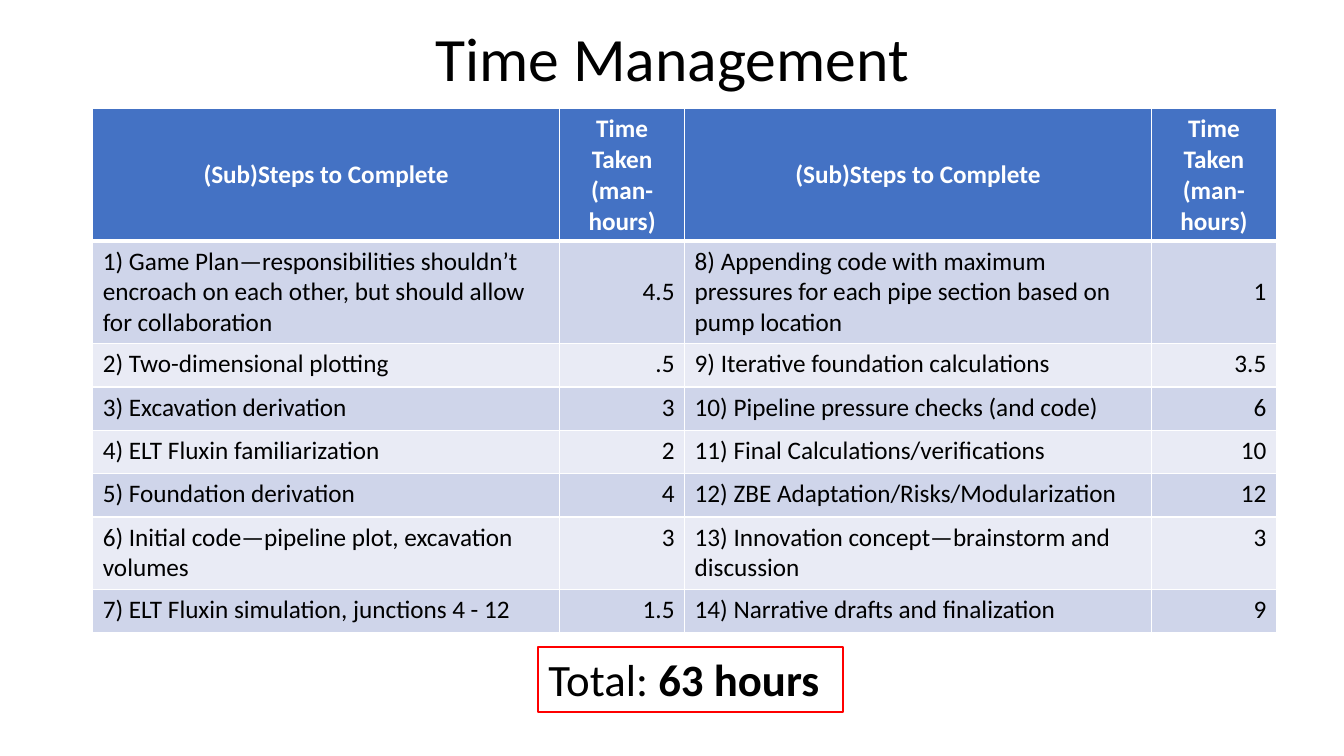
import pptx
import pptx.util
import pptx.dml.color
import pptx.enum.text
import pptx.oxml
import pptx.oxml.ns
from dataclasses import dataclass
from lxml import etree

Inches = pptx.util.Inches
Align = pptx.enum.text.PP_ALIGN
Anchor = pptx.enum.text.MSO_ANCHOR


@dataclass(frozen=True)
class Theme:
    font: str = "Calibri"
    title_size: int = 44
    table_size: int = 18
    total_size: int = 32
    text: str = "000000"
    light: str = "FFFFFF"
    header: str = "4472C4"
    bands: tuple = ("CFD5EA", "E9EBF5")
    accent: str = "FF0000"


theme = Theme()

title = "Time Management"
headings = ("(Sub)Steps to Complete", "Time Taken (man-hours)")
step_groups = [
    [
        ("1) Game Plan—responsibilities shouldn’t encroach on each other, but should allow for collaboration", "4.5"),
        ("2) Two-dimensional plotting", ".5"),
        ("3) Excavation derivation", "3"),
        ("4) ELT Fluxin familiarization", "2"),
        ("5) Foundation derivation", "4"),
        ("6) Initial code—pipeline plot, excavation volumes", "3"),
        ("7) ELT Fluxin simulation, junctions 4 - 12", "1.5"),
    ],
    [
        ("8) Appending code with maximum pressures for each pipe section based on pump location", "1"),
        ("9) Iterative foundation calculations", "3.5"),
        ("10) Pipeline pressure checks (and code)", "6"),
        ("11) Final Calculations/verifications", "10"),
        ("12) ZBE Adaptation/Risks/Modularization", "12"),
        ("13) Innovation concept—brainstorm and discussion", "3"),
        ("14) Narrative drafts and finalization", "9"),
    ],
]
total_runs = [("Total: ", False), ("63 hours", True)]

table_left, table_top = 0.92, 1.08
column_widths = (4.63, 1.24)
row_heights = (1.31, 1.02, 0.43, 0.43, 0.43, 0.43, 0.72, 0.43)


def rgb(color):
    return pptx.dml.color.RGBColor.from_string(color)


def write(frame, runs, size, color, alignment, anchor):
    frame.word_wrap = True
    frame.vertical_anchor = anchor
    paragraph = frame.paragraphs[0]
    paragraph.alignment = alignment
    for text, bold in runs:
        run = paragraph.add_run()
        run.text = text
        run.font.name = theme.font
        run.font.size = pptx.util.Pt(size)
        run.font.bold = bold
        run.font.color.rgb = rgb(color)
    return paragraph


def add_border(cell, side, points):
    properties = cell._tc.get_or_add_tcPr()
    line = etree.SubElement(properties, pptx.oxml.ns.qn(f"a:ln{side}"), w=str(pptx.util.Pt(points)))
    fill = etree.SubElement(line, pptx.oxml.ns.qn("a:solidFill"))
    etree.SubElement(fill, pptx.oxml.ns.qn("a:srgbClr"), val=theme.light)


def add_steps_table(slide, left, steps):
    rows = [headings, *steps]
    table = slide.shapes.add_table(
        len(rows), len(headings), Inches(left), Inches(table_top),
        Inches(sum(column_widths)), Inches(sum(row_heights))).table
    for column, width in zip(table.columns, column_widths):
        column.width = Inches(width)
    for row_index, values in enumerate(rows):
        table.rows[row_index].height = Inches(row_heights[row_index])
        is_header = row_index == 0
        for column_index, value in enumerate(values):
            cell = table.cell(row_index, column_index)
            for side in "LRTB":
                heavy = (is_header and side == "B") or (row_index == 1 and side == "T")
                add_border(cell, side, 3 if heavy else 1)
            cell.fill.solid()
            cell.fill.fore_color.rgb = rgb(theme.header if is_header else theme.bands[(row_index - 1) % 2])
            alignment = Align.CENTER if is_header else (Align.LEFT, Align.RIGHT)[column_index]
            anchor = Anchor.MIDDLE if row_index < 2 else Anchor.TOP
            write(cell.text_frame, [(value, is_header)], theme.table_size,
                  theme.light if is_header else theme.text, alignment, anchor)
            cell.vertical_anchor = anchor


presentation = pptx.Presentation()
presentation.slide_width = Inches(13.33)
presentation.slide_height = Inches(7.5)
slide = presentation.slides.add_slide(presentation.slide_layouts[6])

title_box = slide.shapes.add_textbox(Inches(0.92), Inches(0.17), Inches(11.5), Inches(0.89))
title_paragraph = write(title_box.text_frame, [(title, False)], theme.title_size,
                        theme.text, Align.CENTER, Anchor.MIDDLE)
title_paragraph.line_spacing = 0.9

for index, steps in enumerate(step_groups):
    add_steps_table(slide, table_left + index * sum(column_widths), steps)

total_box = slide.shapes.add_textbox(Inches(5.34), Inches(6.42), Inches(3.02), Inches(0.64))
total_box.line.color.rgb = rgb(theme.accent)
total_box.line.width = pptx.util.Pt(1.5)
write(total_box.text_frame, total_runs, theme.total_size, theme.text, Align.LEFT, Anchor.TOP)

presentation.save("out.pptx")
